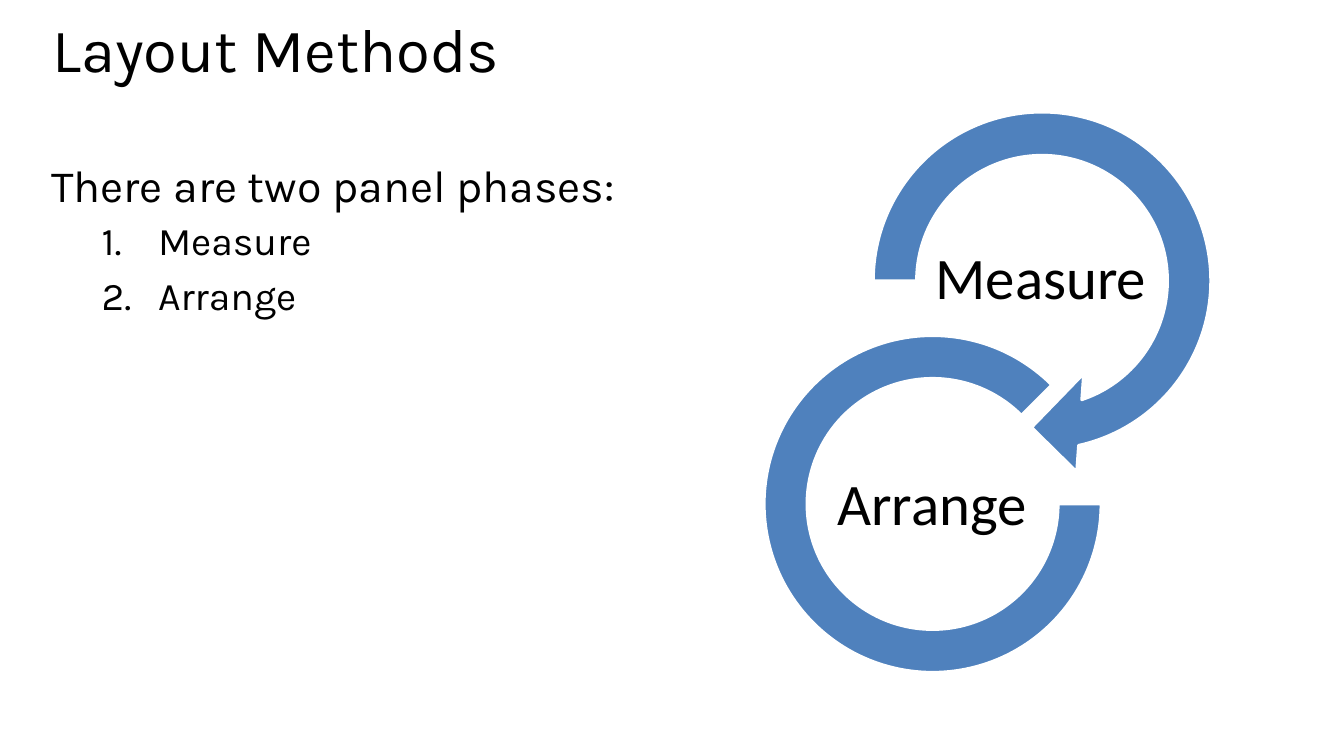
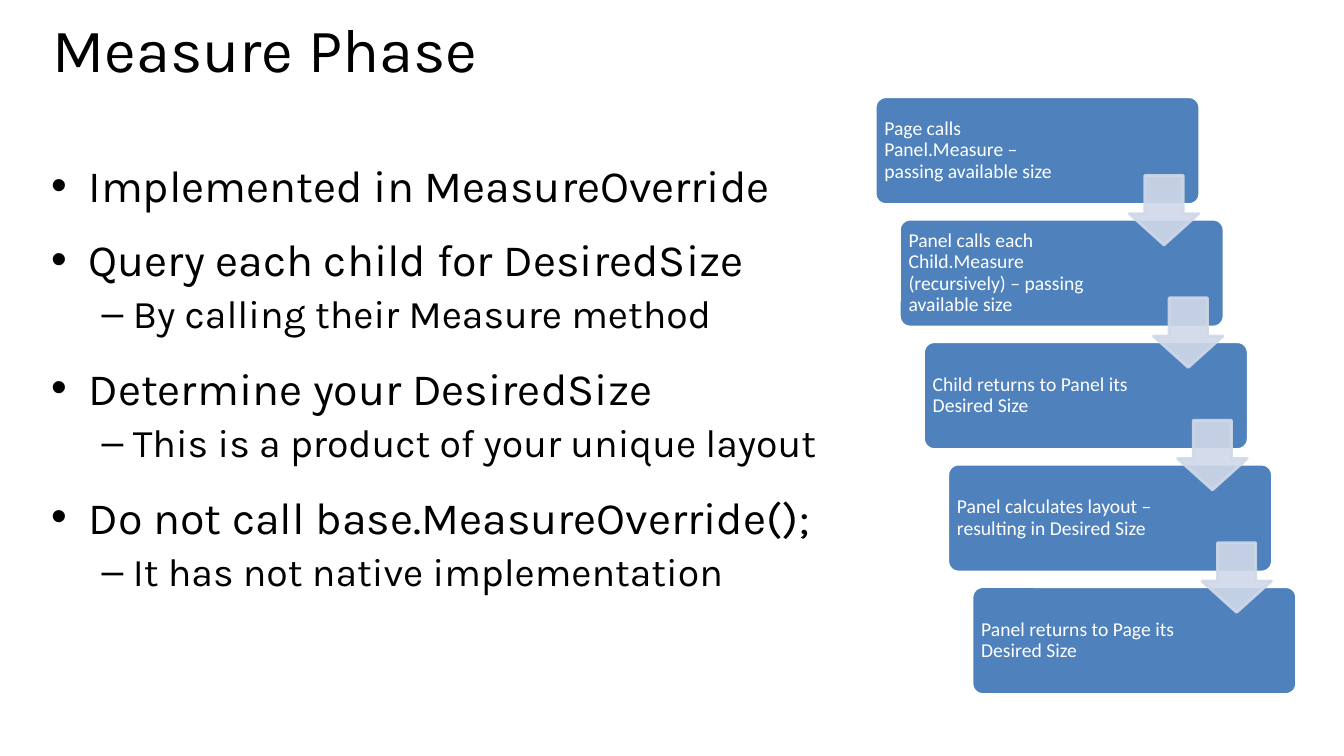
from dataclasses import dataclass

from lxml.etree import SubElement
from pptx import Presentation
from pptx.dml.color import RGBColor
from pptx.enum.shapes import MSO_SHAPE
from pptx.enum.text import MSO_ANCHOR, PP_ALIGN
from pptx.oxml.ns import qn
from pptx.util import Inches, Pt


@dataclass(frozen=True)
class Theme:
    text: RGBColor = RGBColor(0x00, 0x00, 0x00)
    white: RGBColor = RGBColor(0xFF, 0xFF, 0xFF)
    accent: RGBColor = RGBColor(0x4F, 0x81, 0xBD)
    pale: RGBColor = RGBColor(0xD0, 0xD8, 0xE8)
    main_font: str = "Karla"
    diagram_font: str = "Calibri"
    title_size: Pt = Pt(44)
    body_size: Pt = Pt(32)
    sub_size: Pt = Pt(28)
    ring_size: Pt = Pt(42)
    step_size: Pt = Pt(14)
    outline: Pt = Pt(2)


THEME = Theme()

# Paragraph styles: spacing, font size, left margin, first-line indent, bullet
HEAD = {"level": 0, "space_before": Pt(14), "space_after": Pt(0)}
SUB = {"level": 1, "space_before": Pt(3), "space_after": Pt(3)}
STYLES = {
    "plain": (HEAD, THEME.body_size, 0, 0, None),
    "bullet": (HEAD, THEME.body_size, 0.37, -0.37, "•"),
    "dash": (SUB, THEME.sub_size, 0.81, -0.31, "–"),
    "number": (SUB, THEME.sub_size, 1.06, -0.56, "1."),
}

PHASES = [
    ("plain", "There are two panel phases:"),
    ("number", "Measure"),
    ("number", "Arrange"),
]
MEASURE_NOTES = [
    ("bullet", "Implemented in MeasureOverride"),
    ("bullet", "Query each child for DesiredSize"),
    ("dash", "By calling their Measure method"),
    ("bullet", "Determine your DesiredSize"),
    ("dash", "This is a product of your unique layout"),
    ("bullet", "Do not call base.MeasureOverride();"),
    ("dash", "It has not native implementation"),
]
# Step text and the width it wraps in
STEPS = [
    ("Page calls Panel.Measure – passing available size", 1.94),
    ("Panel calls each Child.Measure (recursively) – passing available size", 2.22),
    ("Child returns to Panel its Desired Size", 2.22),
    ("Panel calculates layout – resulting in Desired Size", 2.22),
    ("Panel returns to Page its Desired Size", 2.22),
]


def set_attrs(obj, **attrs):
    for name, value in attrs.items():
        setattr(obj, name, value)


def set_insets(tf, left, top, right, bottom):
    set_attrs(tf, margin_left=Inches(left), margin_top=Inches(top),
              margin_right=Inches(right), margin_bottom=Inches(bottom))


def write(p, text, font, size, color, **paragraph):
    set_attrs(p, **paragraph)
    r = p.add_run()
    r.text = text
    set_attrs(r.font, name=font, size=size)
    r.font.color.rgb = color


def set_bullet(p, left, indent, mark):
    pPr = p._p.get_or_add_pPr()
    pPr.set("marL", str(Inches(left)))
    pPr.set("indent", str(Inches(indent)))
    if mark is None:
        SubElement(pPr, qn("a:buNone"))
    elif mark == "1.":
        SubElement(pPr, qn("a:buFont"), typeface="+mj-lt")
        SubElement(pPr, qn("a:buAutoNum"), type="arabicPeriod")
    else:
        SubElement(pPr, qn("a:buFont"), typeface="Arial")
        SubElement(pPr, qn("a:buChar"), char=mark)


def set_alpha(shape, percent):
    for color in shape._element.spPr.iter(qn("a:srgbClr")):
        SubElement(color, qn("a:alpha"), val=str(percent * 1000))


def add_title_slide(prs, title):
    s = prs.slides.add_slide(prs.slide_layouts[5])
    sp = s.shapes.title
    set_attrs(sp, left=Inches(0.42), top=Inches(0.2),
              width=Inches(12.6), height=Inches(1.16))
    tf = sp.text_frame
    set_attrs(tf, word_wrap=True, vertical_anchor=MSO_ANCHOR.TOP)
    set_insets(tf, 0.1, 0.05, 0.1, 0.05)
    write(tf.paragraphs[0], title, THEME.main_font, THEME.title_size, THEME.text,
          alignment=PP_ALIGN.LEFT, line_spacing=0.8)
    return s


def add_textbox(s, left, top, width, height):
    sp = s.shapes.add_textbox(Inches(left), Inches(top), Inches(width), Inches(height))
    sp.text_frame.word_wrap = True
    return sp.text_frame


def add_body(s, items):
    tf = add_textbox(s, 0.41, 1.52, 7.9, 5.79)
    for i, (style, text) in enumerate(items):
        p = tf.add_paragraph() if i else tf.paragraphs[0]
        spacing, size, left, indent, mark = STYLES[style]
        write(p, text, THEME.main_font, size, THEME.text, **spacing)
        set_bullet(p, left, indent, mark)


def add_figure(s, kind, left, top, width, height, adjustments, fill, line):
    sp = s.shapes.add_shape(kind, Inches(left), Inches(top), Inches(width), Inches(height))
    sp.shadow.inherit = False
    sp.fill.solid()
    sp.fill.fore_color.rgb = fill
    sp.line.color.rgb = line
    sp.line.width = THEME.outline
    for i, value in enumerate(adjustments):
        sp.adjustments[i] = value
    return sp


def add_ring(s, kind, left, top, size, adjustments, label, label_left, label_top):
    add_figure(s, kind, left, top, size, size, adjustments, THEME.accent, THEME.white)
    tf = add_textbox(s, label_left, label_top, 2.17, 1.08)
    tf.vertical_anchor = MSO_ANCHOR.MIDDLE
    set_insets(tf, 0.03, 0.03, 0.03, 0.03)
    write(tf.paragraphs[0], label, THEME.diagram_font, THEME.ring_size, THEME.text,
          alignment=PP_ALIGN.CENTER, line_spacing=0.9)


def add_staircase(s, steps):
    left, top, width, height = 8.68, 0.96, 3.22, 1.07
    dx, dy = 0.24, 1.215
    # Step boxes
    for i, (text, text_width) in enumerate(steps):
        sp = add_figure(s, MSO_SHAPE.ROUNDED_RECTANGLE, left + i * dx, top + i * dy,
                        width, height, [0.1], THEME.accent, THEME.white)
        tf = sp.text_frame
        set_attrs(tf, word_wrap=True, vertical_anchor=MSO_ANCHOR.MIDDLE)
        set_insets(tf, 0.06, 0.06, width - text_width, 0.06)
        write(tf.paragraphs[0], text, THEME.diagram_font, THEME.step_size, THEME.white,
              alignment=PP_ALIGN.LEFT, line_spacing=0.9)
    # Arrows from each step to the next
    for i in range(len(steps) - 1):
        arrow = add_figure(s, MSO_SHAPE.DOWN_ARROW, 11.2 + i * dx, 1.74 + i * dy,
                           0.69, 0.69, [0.45, 0.55], THEME.pale, THEME.pale)
        arrow.adjustments[0], arrow.adjustments[1] = 0.55, 0.45
        set_alpha(arrow, 90)


def build_layout_methods(prs):
    s = add_title_slide(prs, "Layout Methods")
    add_body(s, PHASES)
    add_ring(s, MSO_SHAPE.CIRCULAR_ARROW, 8.39, 0.84, 3.89,
             [0.11, 11.42, 45, 108, 0.125], "Measure", 9.24, 2.24)
    add_ring(s, MSO_SHAPE.BLOCK_ARC, 7.58, 3.33, 3.34,
             [0, 189, 0.127], "Arrange", 8.16, 4.48)


def build_measure_phase(prs):
    s = add_title_slide(prs, "Measure Phase")
    add_body(s, MEASURE_NOTES)
    add_staircase(s, STEPS)


def main():
    prs = Presentation()
    set_attrs(prs, slide_width=Inches(13.33), slide_height=Inches(7.5))
    build_layout_methods(prs)
    build_measure_phase(prs)
    prs.save("out.pptx")


main()
